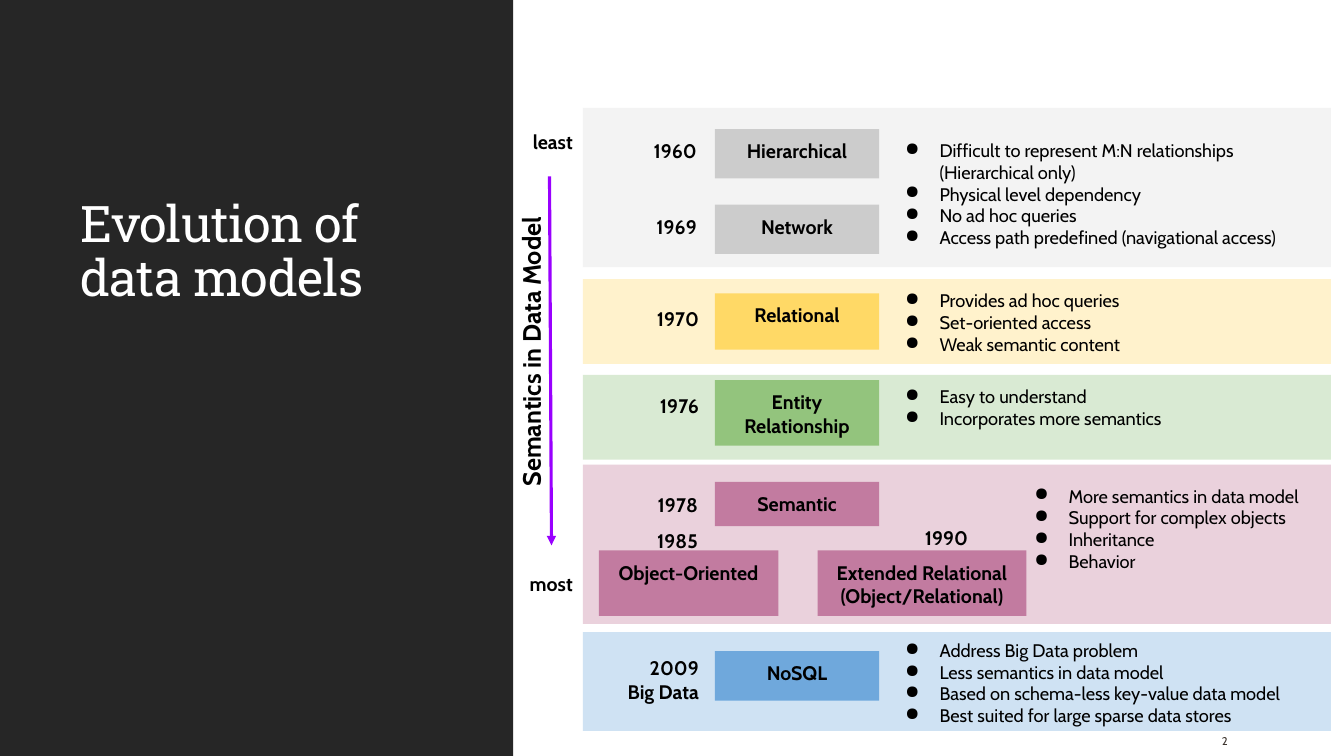
from dataclasses import dataclass
from typing import NamedTuple

from lxml.etree import SubElement
from pptx import Presentation
from pptx.dml.color import RGBColor
from pptx.enum.shapes import MSO_CONNECTOR as Connector, MSO_SHAPE as Preset
from pptx.enum.text import MSO_ANCHOR as Anchor, PP_ALIGN as Align
from pptx.oxml.ns import qn
from pptx.util import Pt

EMU_PER_PX = 9144  # 100 px to the inch
INSET = 10


@dataclass(frozen=True)
class Theme:
    heading_font: str = "Roboto Slab"
    body_font: str = "Cabin"
    panel: str = "262626"
    white: str = "FFFFFF"
    black: str = "000000"
    page: str = "39302A"
    arrow: str = "9900FF"
    title_size: int = 36
    axis_size: int = 18
    label_size: int = 14
    bullet_size: int = 13
    page_size: int = 8


THEME = Theme()


class Box(NamedTuple):
    left: int
    top: int
    width: int
    height: int


class Label(NamedTuple):
    text: str
    box: Box


@dataclass(frozen=True)
class Era:
    band_top: int
    band_height: int
    band_color: str
    model_color: str
    models: tuple[Label, ...]
    years: tuple[Label, ...]
    bullets: Label


def px(value: int) -> int:
    return value * EMU_PER_PX


def model(text: str, top: int, height: int, left: int = 709, width: int = 163) -> Label:
    return Label(text, Box(left, top, width, height))


def year(text: str, top: int, left: int = 588, width: int = 115) -> Label:
    return Label(text, Box(left, top, width, 49))


def bullets(text: str, top: int, left: int = 872) -> Label:
    return Label(text, Box(left, top, 1320 - left, 56))


ERAS = (
    Era(461, 158, "EAD1DC", "C27BA0",
        (model("Semantic", 478, 44),
         model("Object-Oriented", 546, 65, 594, 178),
         model("Extended Relational (Object/Relational)", 546, 65, 811, 207)),
        (year("1978", 479, 598, 104), year("1985", 515, 598, 104),
         year("1990", 512, 866, 104)),
        bullets("More semantics in data model\nSupport for complex objects\n"
                "Inheritance\nBehavior", 471, 1000)),
    Era(627, 98, "CFE2F3", "6FA8DC",
        (model("NoSQL", 646, 49),),
        (year("2009\nBig Data", 641),),
        bullets("Address Big Data problem\nLess semantics in data model\n"
                "Based on schema-less key-value data model\n"
                "Best suited for large sparse data stores", 624)),
    Era(372, 84, "D9EAD3", "93C47D",
        (model("Entity Relationship", 377, 65),),
        (year("1976", 381),),
        bullets("Easy to understand\nIncorporates more semantics", 372)),
    Era(277, 84, "FFF2CC", "FFD966",
        (model("Relational", 291, 56),),
        (year("1970", 294),),
        bullets("Provides ad hoc queries\nSet-oriented access\n"
                "Weak semantic content", 277)),
    Era(107, 158, "F3F3F3", "CCCCCC",
        (model("Hierarchical", 128, 49), model("Network", 203, 49)),
        (year("1960", 128, 586), year("1969", 203, 586)),
        bullets("Difficult to represent M:N relationships (Hierarchical only)\n"
                "Physical level dependency\nNo ad hoc queries\n"
                "Access path predefined (navigational access)", 128)),
)

SCALE_ENDS = (Label("least", Box(455, 128, 123, 26)),
              Label("most", Box(455, 566, 123, 26)))


def apply_format(target, values: dict) -> None:
    for name, value in values.items():
        setattr(target, name, value)


def write_text(shape, text: str, size: int, align=Align.LEFT, anchor=Anchor.TOP,
               color: str = THEME.black, font: str = THEME.body_font,
               bold: bool = False, inset_y: int = INSET) -> None:
    frame = shape.text_frame
    frame.text = text
    apply_format(frame, {
        "word_wrap": True, "vertical_anchor": anchor,
        "margin_left": px(INSET), "margin_right": px(INSET),
        "margin_top": px(inset_y), "margin_bottom": px(inset_y),
    })
    for paragraph in frame.paragraphs:
        paragraph.alignment = align
        for run in paragraph.runs:
            apply_format(run.font, {"name": font, "size": Pt(size), "bold": bold})
            run.font.color.rgb = RGBColor.from_string(color)


def add_text(slide, label: Label, size: int, **style):
    shape = slide.shapes.add_textbox(*map(px, label.box))
    write_text(shape, label.text, size, **style)
    return shape


def add_block(slide, box: Box, color: str):
    shape = slide.shapes.add_shape(Preset.RECTANGLE, *map(px, box))
    shape.shadow.inherit = False
    shape.fill.solid()
    shape.fill.fore_color.rgb = RGBColor.from_string(color)
    shape.line.fill.background()
    return shape


def add_bullets(slide, label: Label) -> None:
    shape = add_text(slide, label, THEME.bullet_size)
    for paragraph in shape.text_frame.paragraphs:
        properties = paragraph._p.get_or_add_pPr()
        properties.set("marL", str(px(50)))
        properties.set("indent", str(px(-34)))
        SubElement(properties, qn("a:buChar"), char="●")


def add_era(slide, era: Era) -> None:
    add_block(slide, Box(578, era.band_top, 742, era.band_height), era.band_color)
    for label in era.models:
        block = add_block(slide, label.box, era.model_color)
        write_text(block, label.text, THEME.label_size, align=Align.CENTER, bold=True)
    for label in era.years:
        add_text(slide, label, THEME.label_size, align=Align.RIGHT, bold=True)
    add_bullets(slide, era.bullets)


def add_title(slide) -> None:
    label = Label("Evolution of data models", Box(70, 86, 385, 229))
    title = add_text(slide, label, THEME.title_size, anchor=Anchor.BOTTOM,
                     color=THEME.white, font=THEME.heading_font)
    paragraph = title.text_frame.paragraphs[0]
    paragraph.line_spacing = 0.9
    paragraph.runs[0].font._element.set("spc", "-50")


def add_scale(slide) -> None:
    for label in SCALE_ENDS:
        add_text(slide, label, THEME.label_size, align=Align.RIGHT,
                 anchor=Anchor.MIDDLE, bold=True)
    arrow = slide.shapes.add_connector(Connector.STRAIGHT, *map(px, (545, 175, 547, 541)))
    arrow.line.color.rgb = RGBColor.from_string(THEME.arrow)
    arrow.line.width = Pt(2.25)
    SubElement(arrow.line._get_or_add_ln(), qn("a:tailEnd"), type="triangle")
    SubElement(arrow._element.spPr, qn("a:effectLst"))


def main() -> None:
    presentation = Presentation()
    apply_format(presentation, {"slide_width": px(1333), "slide_height": px(750)})
    slide = presentation.slides.add_slide(presentation.slide_layouts[6])

    # Title panel
    add_block(slide, Box(0, 0, 509, 750), THEME.panel)
    add_title(slide)

    # Eras and the scale of semantics beside them
    axis = add_text(slide, Label("Semantics in Data Model", Box(330, 271, 393, 50)),
                    THEME.axis_size, bold=True)
    axis.rotation = 270
    for era in ERAS:
        add_era(slide, era)
    add_scale(slide)

    # Page number
    add_text(slide, Label("2", Box(1202, 725, 85, 20)), THEME.page_size,
             anchor=Anchor.MIDDLE, color=THEME.page, inset_y=5)

    presentation.save("out.pptx")


if __name__ == "__main__":
    main()
